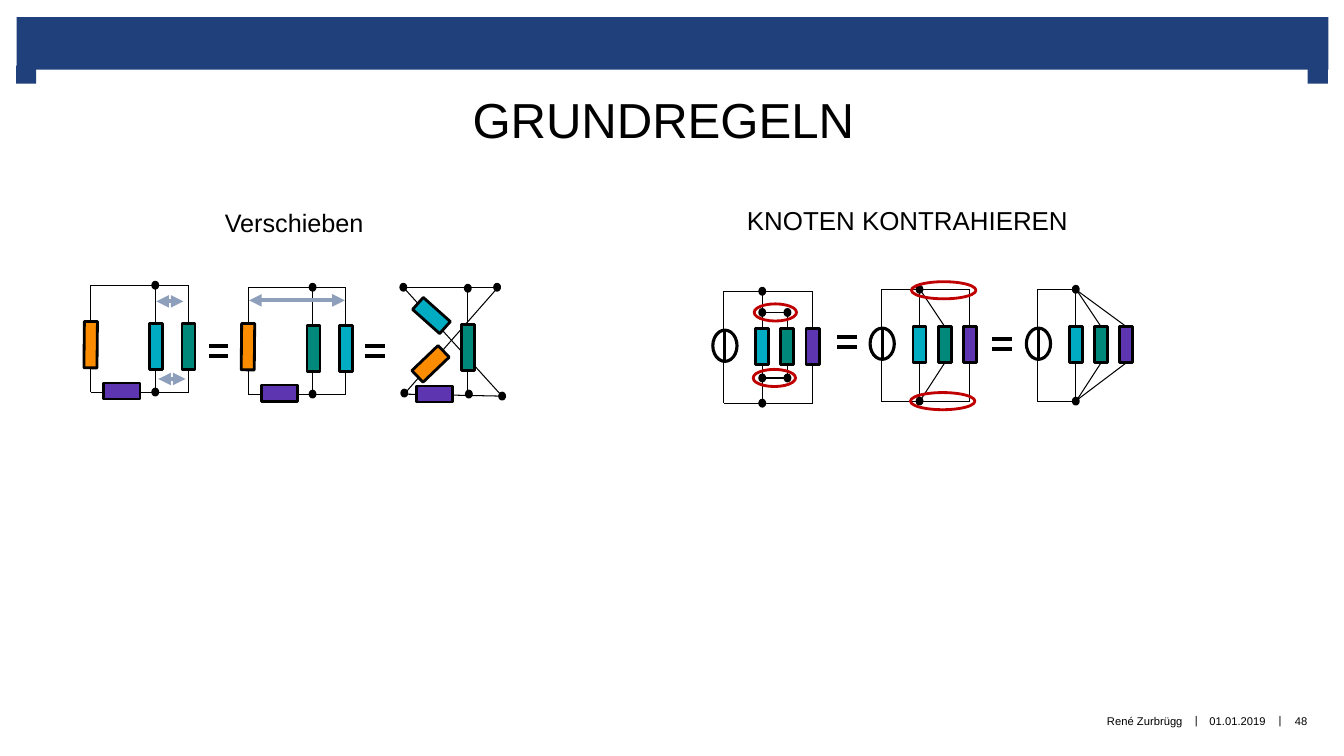
from lxml.etree import SubElement
from pptx import Presentation
from pptx.dml.color import RGBColor
from pptx.enum.shapes import MSO_CONNECTOR, MSO_SHAPE
from pptx.enum.text import MSO_ANCHOR, PP_ALIGN
from pptx.oxml.ns import qn
from pptx.util import Inches, Pt

NAVY = RGBColor(0x1F, 0x40, 0x7A)
BLACK = RGBColor(0, 0, 0)
WHITE = RGBColor(0xFF, 0xFF, 0xFF)
ORANGE = RGBColor(0xFB, 0x8C, 0x00)
TEAL = RGBColor(0x00, 0xAC, 0xC1)
GREEN = RGBColor(0x00, 0x89, 0x7B)
PURPLE = RGBColor(0x5E, 0x35, 0xB1)
STEEL = RGBColor(0x8E, 0x9F, 0xBB)
RED = RGBColor(0xC0, 0, 0)
TOP, BOTTOM = 0, 2


def label(slide, text, left, top, width, height, size, align=PP_ALIGN.LEFT,
          anchor=MSO_ANCHOR.MIDDLE, insets=(0, 0, 0, 0), wrap=True,
          before=0, spacing=1.0):
    box = slide.shapes.add_textbox(Inches(left), Inches(top), Inches(width), Inches(height))
    frame = box.text_frame
    frame.word_wrap = wrap
    frame.vertical_anchor = anchor
    frame.margin_left, frame.margin_top, frame.margin_right, frame.margin_bottom = map(Inches, insets)
    para = frame.paragraphs[0]
    para.alignment = align
    para.space_before = Pt(before)
    para.line_spacing = spacing
    run = para.add_run()
    run.text = text
    run.font.name = "Arial"
    run.font.size = Pt(size)
    run.font.color.rgb = BLACK


def part(slide, kind, x, y, width, height, fill=None, line=BLACK, weight=2, turn=0):
    """Add a shape centred on (x, y)."""
    shape = slide.shapes.add_shape(kind, Inches(x - width / 2), Inches(y - height / 2),
                                   Inches(width), Inches(height))
    shape.shadow.inherit = False
    shape.rotation = turn
    if fill is None:
        shape.fill.background()
    else:
        shape.fill.solid()
        shape.fill.fore_color.rgb = fill
    if line is None:
        shape.line.fill.background()
    else:
        shape.line.color.rgb = line
        shape.line.width = Pt(weight)
    return shape


def resistor(slide, x, y, fill, width=0.13, height=0.46, turn=0):
    return part(slide, MSO_SHAPE.RECTANGLE, x, y, width, height, fill, turn=turn)


def node(slide, x, y):
    part(slide, MSO_SHAPE.OVAL, x, y, 0.05, 0.06, BLACK)


def ring(slide, x, y, width):
    part(slide, MSO_SHAPE.OVAL, x, y, width, 0.17, line=RED)


def equals(slide, x, y):
    part(slide, MSO_SHAPE.MATH_EQUAL, x, y, 0.3, 0.28, BLACK, WHITE)


def wire(slide, x1, y1, x2, y2, color=BLACK, weight=0.75):
    link = slide.shapes.add_connector(MSO_CONNECTOR.STRAIGHT, Inches(x1), Inches(y1),
                                      Inches(x2), Inches(y2))
    link.line.color.rgb = color
    link.line.width = Pt(weight)
    SubElement(link._element.spPr, qn("a:effectLst"))
    return link


def swap(slide, x1, x2, y):
    """Add a two-headed arrow that marks parts changing place."""
    line = wire(slide, x1, y, x2, y, STEEL, 3).line._get_or_add_ln()
    for end in ("a:headEnd", "a:tailEnd"):
        SubElement(line, qn(end), type="triangle")


def source(slide, x, y):
    part(slide, MSO_SHAPE.OVAL, x, y, 0.24, 0.31, weight=2.25)
    wire(slide, x, y - 0.16, x, y + 0.16, weight=2.25)


def loop(slide, x, y, inner, outer):
    """Add a circuit with two parallel resistors of the given colours."""
    for step in (0, 0.64, 0.97):
        wire(slide, x + step, y, x + step, y + 1.06)
    for drop in (0, 1.06):
        wire(slide, x, y + drop, x + 0.97, y + drop)
        node(slide, x + 0.64, y + drop)
    resistor(slide, x, y + 0.59, ORANGE, turn=0.6)
    resistor(slide, x + 0.65, y + 0.61, inner)
    resistor(slide, x + 0.97, y + 0.61, outer)
    resistor(slide, x + 0.31, y + 1.05, PURPLE, 0.36, 0.16)


def crossed(slide, x, y):
    """Add the circuit whose left and right branches cross."""
    wire(slide, x, y + 1.07, x + 0.94, y)
    wire(slide, x + 0.98, y + 1.08, x, y)
    wire(slide, x + 0.64, y, x + 0.64, y + 1.07)
    wire(slide, x, y, x + 0.94, y)
    wire(slide, x, y + 1.06, x + 0.98, y + 1.08)
    resistor(slide, x + 0.27, y + 0.76, ORANGE, 0.16, 0.36, 46.3)
    resistor(slide, x + 0.28, y + 0.28, TEAL, 0.16, 0.36, 311.7)
    resistor(slide, x + 0.64, y + 0.6, GREEN)
    resistor(slide, x + 0.31, y + 1.06, PURPLE, 0.36, 0.16)
    for dx, dy in ((0, 0), (0.64, 0.01), (0.93, 0), (0.01, 1.05), (0.65, 1.06), (0.98, 1.08)):
        node(slide, x + dx, y + dy)


def ladder(slide, x, y, reach, merged):
    """Add a source with three resistors; merged counts those drawn to one node."""
    low = y + 1.11
    main, mid, last = x + 0.38, x + 0.63, x + 0.88
    wire(slide, x, y, x, low)
    wire(slide, main, y, main, low)
    for level in (y, low):
        wire(slide, x, level, x + reach, level)
        node(slide, main, level)
    if merged < 2:
        wire(slide, last, y, last, low)
    if merged == 0:
        wire(slide, mid, y + 0.21, mid, y + 0.86)
        for level in (y + 0.21, y + 0.86):
            wire(slide, main, level, mid, level)
            node(slide, main, level)
            node(slide, mid, level)
    boxes = [resistor(slide, spot, y + 0.55, color, height=0.36)
             for spot, color in ((main, TEAL), (mid, GREEN), (last, PURPLE))]
    for box in boxes[1:merged + 1]:
        for side, level in ((TOP, y + 0.01), (BOTTOM, low - 0.01)):
            wire(slide, mid, y + 0.55, main + 0.01, level).begin_connect(box, side)
    source(slide, x + 0.01, y + 0.54)


def header(slide):
    part(slide, MSO_SHAPE.RECTANGLE, 6.67, 0.43, 13.01, 0.52, NAVY, None)
    for x in (0.26, 13.07):
        part(slide, MSO_SHAPE.RECTANGLE, x, 0.74, 0.2, 0.18, NAVY, None)


def footer(slide):
    center = PP_ALIGN.CENTER
    for left in (11.79, 12.62):
        label(slide, "|", left, 6.89, 0.15, 0.51, 8, center,
              insets=(0.04, 0.05, 0.04, 0.05), wrap=False)
    label(slide, "René Zurbrügg", 6.66, 6.9, 5.07, 0.5, 8, PP_ALIGN.RIGHT)
    label(slide, "01.01.2019", 11.94, 6.9, 0.67, 0.51, 8, center)
    label(slide, "48", 12.71, 6.9, 0.39, 0.51, 8, center)


def main():
    deck = Presentation()
    deck.slide_width, deck.slide_height = Inches(13.33), Inches(7.5)
    slide = deck.slides.add_slide(deck.slide_layouts[6])
    header(slide)
    label(slide, "GRUNDREGELN", 0.83, 0.92, 11.5, 0.62, 35.1, PP_ALIGN.CENTER,
          insets=(0.1, 0.05, 0.1, 0.05), spacing=0.8)
    label(slide, "Verschieben", 2.07, 1.92, 2.13, 0.56, 18, anchor=MSO_ANCHOR.BOTTOM,
          insets=(0.16, 0, 0.16, 0.12), before=5)
    label(slide, "KNOTEN KONTRAHIEREN", 7.31, 1.92, 3.52, 0.56, 18.5, anchor=MSO_ANCHOR.TOP,
          insets=(0.1, 0.05, 0.1, 0.05), before=10, spacing=1.2)

    loop(slide, 0.9, 2.83, TEAL, GREEN)
    loop(slide, 2.46, 2.85, GREEN, TEAL)
    crossed(slide, 4, 2.85)
    for x1, x2, y in ((1.55, 1.82, 2.99), (1.57, 1.84, 3.76), (2.47, 3.42, 2.98)):
        swap(slide, x1, x2, y)

    ladder(slide, 7.18, 2.89, 0.88, 0)
    ladder(slide, 8.74, 2.87, 0.88, 1)
    ladder(slide, 10.29, 2.87, 0.38, 2)
    for x, y, width in ((7.69, 3.1, 0.42), (7.68, 3.75, 0.42), (9.36, 2.88, 0.64), (9.35, 3.98, 0.64)):
        ring(slide, x, y, width)
    for x, y in ((2.17, 3.48), (3.72, 3.48), (8.4, 3.39), (9.94, 3.41)):
        equals(slide, x, y)
    footer(slide)
    deck.save("out.pptx")


if __name__ == "__main__":
    main()
